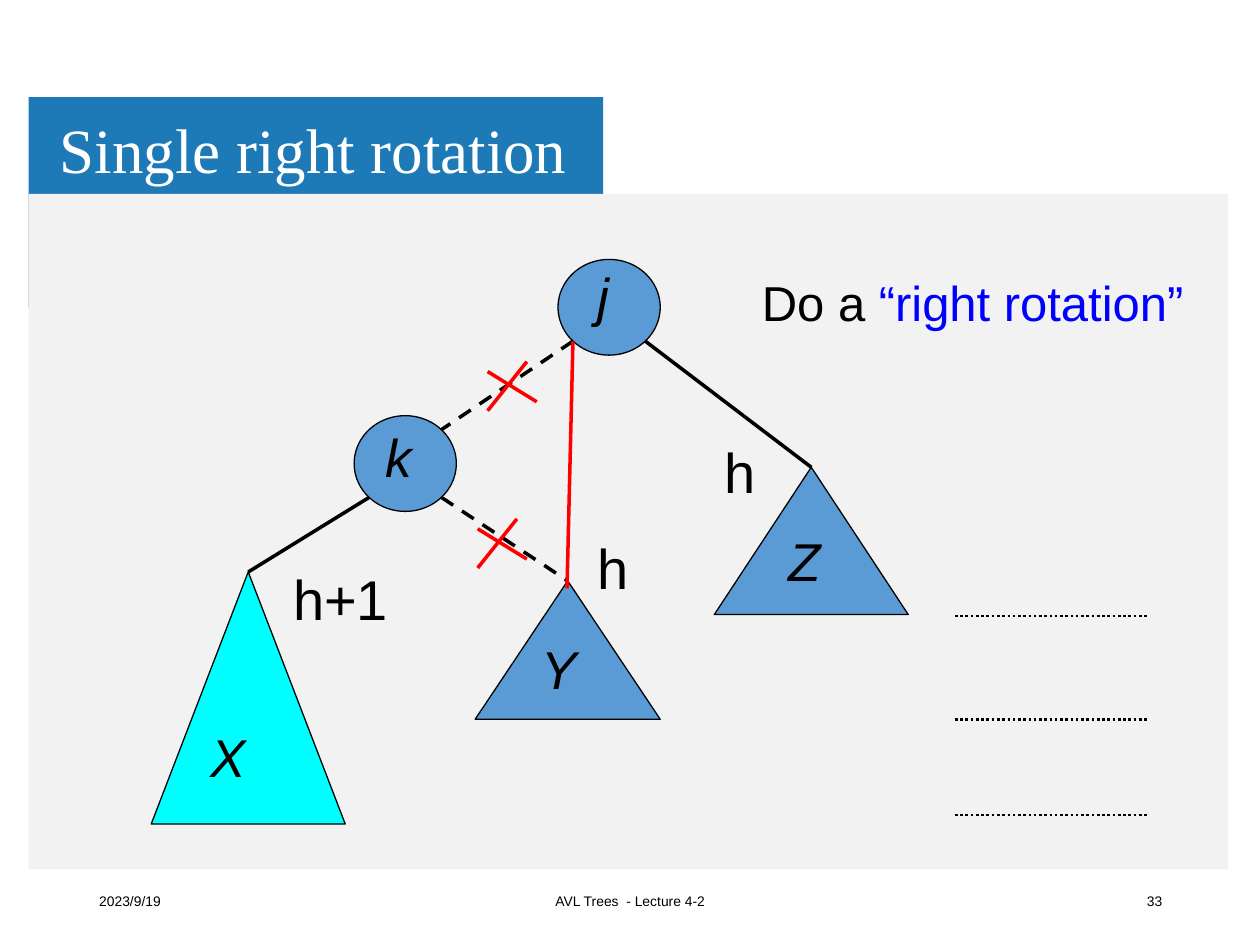
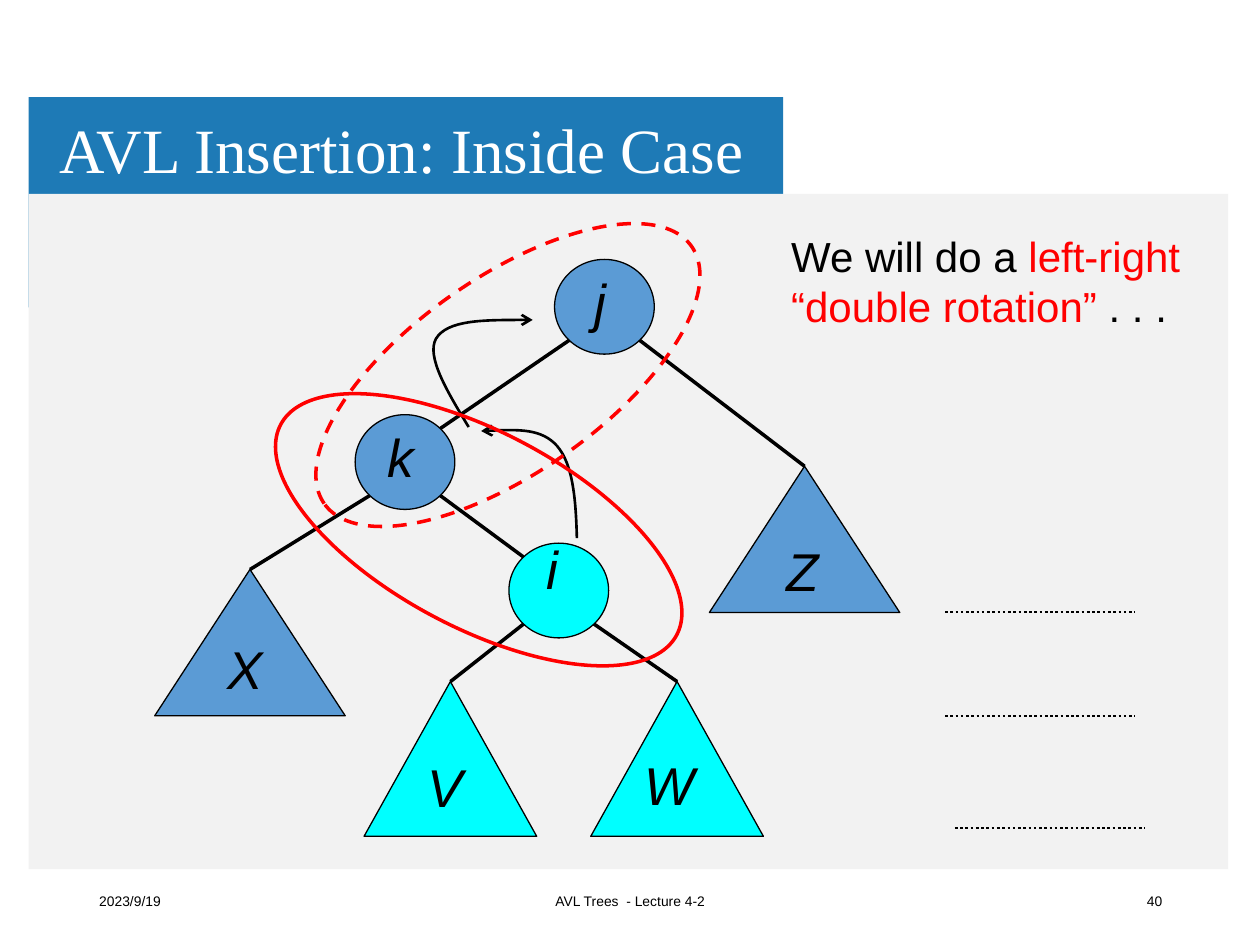
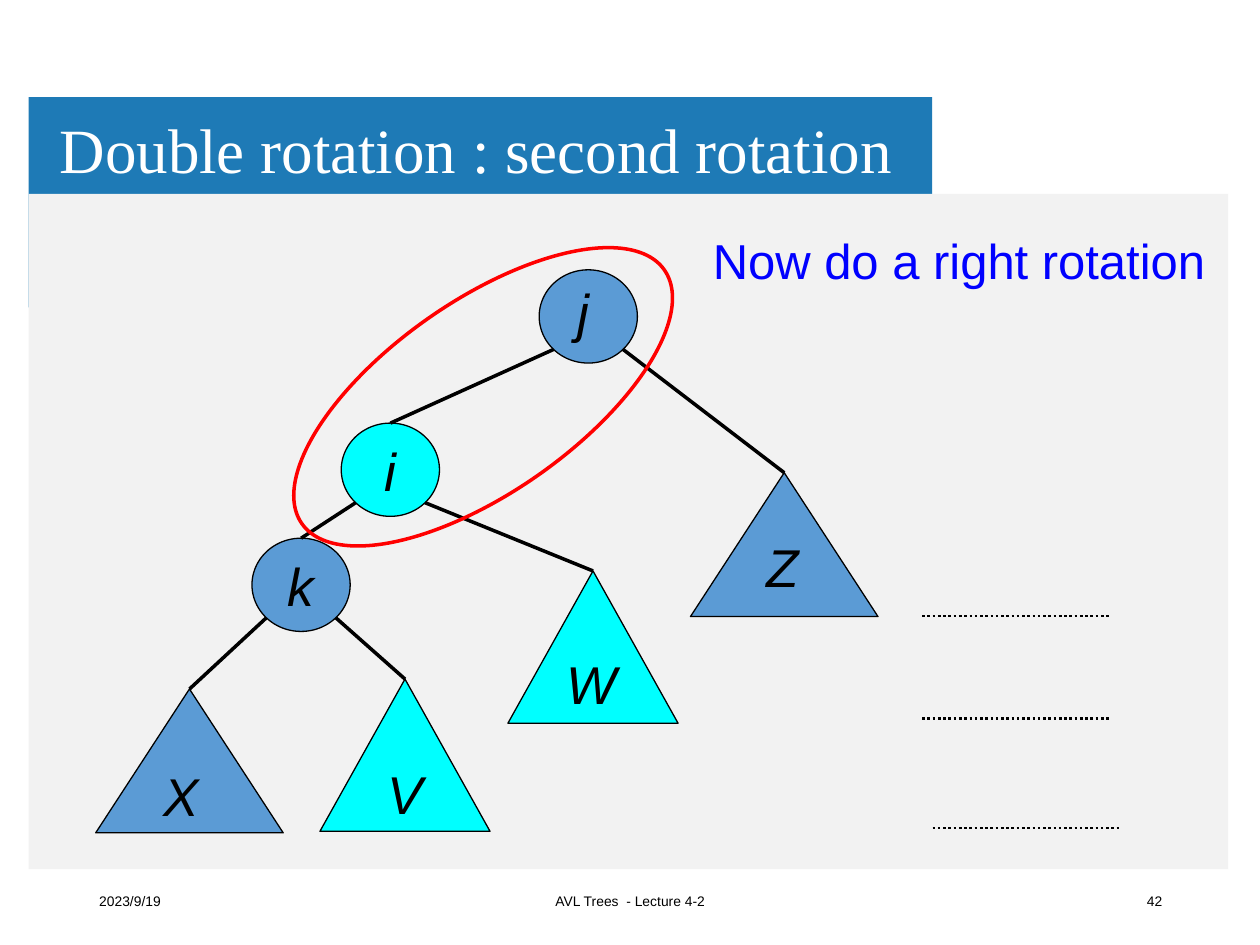
from dataclasses import dataclass, field
from typing import NamedTuple

from lxml import etree
from pptx import Presentation
from pptx import util as u
from pptx.dml.color import RGBColor
from pptx.enum import dml, shapes, text
from pptx.oxml.ns import qn


@dataclass(frozen=True)
class Theme:
    band: str = "1E7AB6"
    panel: str = "F2F2F2"
    node: str = "5B9BD5"
    fresh: str = "00FFFF"
    ink: str = "000000"
    pale: str = "FFFFFF"
    red: str = "FF0000"
    blue: str = "0000FF"
    serif: str = "Times New Roman"
    sans: str = "Arial"
    title: float = 36
    label: float = 30.4
    height: float = 32
    foot: float = 7.9
    thin: float = 0.75
    fine: float = 1.5
    bold: float = 2


T = Theme()
OVAL = shapes.MSO_SHAPE.OVAL
RECT = shapes.MSO_SHAPE.RECTANGLE
PEAK = shapes.MSO_SHAPE.ISOSCELES_TRIANGLE
DASH = dml.MSO_LINE.DASH
DOTS = dml.MSO_LINE.ROUND_DOT
LEFT, MID, RIGHT = text.PP_ALIGN.LEFT, text.PP_ALIGN.CENTER, text.PP_ALIGN.RIGHT
DIAG = 0.5 ** 0.5 / 2  # offset of an oval's corner point, as a share of its size


# All lengths below are in centimetres.
class Point(NamedTuple):
    x: float
    y: float


class Box(NamedTuple):
    x: float
    y: float
    w: float
    h: float


class Run(NamedTuple):
    text: str
    tint: str = T.ink


class Node(NamedTuple):
    form: int
    box: Box
    tint: str = T.node
    label: Point | None = None  # None puts the name inside the shape

    def top(self) -> Point:
        return Point(self.box.x + self.box.w / 2, self.box.y)

    def corner(self, side: int, down: int) -> Point:
        b = self.box
        return Point(b.x + b.w * (0.5 + side * DIAG), b.y + b.h * (0.5 + down * DIAG))


class Edge(NamedTuple):
    start: str
    end: str
    corner: bool = False  # meet the child at its near corner, not its top
    dash: int | None = None


class Stroke(NamedTuple):
    start: Point
    end: Point
    tint: str = T.red
    width: float = T.bold
    dash: int | None = None


class Ring(NamedTuple):
    box: Box
    turn: float
    dash: int | None = None


class Note(NamedTuple):
    box: Box
    size: float
    lines: list[list[Run]]


class Mark(NamedTuple):
    text: str
    box: Box


@dataclass
class Page:
    title: str
    number: str
    band: float
    note: Note
    nodes: dict[str, Node]
    edges: list[Edge]
    rules: list[Point]
    span: float
    crosses: list[Point] = field(default_factory=list)
    strokes: list[Stroke] = field(default_factory=list)
    marks: list[Mark] = field(default_factory=list)
    curves: list[list[Point]] = field(default_factory=list)
    rings: list[Ring] = field(default_factory=list)


def cm(*sizes: float) -> list[u.Length]:
    return [u.Cm(s) for s in sizes]


# Text
def style(para, size: float, tint: str = T.ink, face: str = T.sans,
          align: int = LEFT, slant: bool = False) -> None:
    para.alignment = align
    for run in para.runs:
        run.font.size = u.Pt(size)
        run.font.name = face
        run.font.italic = slant
        run.font.color.rgb = RGBColor.from_string(tint)


def write(slide, words: str, box: Box, size: float, align: int = LEFT,
          slant: bool = False, anchor: int = text.MSO_ANCHOR.TOP) -> None:
    frame = slide.shapes.add_textbox(*cm(*box)).text_frame
    frame.word_wrap = True
    frame.vertical_anchor = anchor
    frame.text = words
    style(frame.paragraphs[0], size, align=align, slant=slant)


def draw_note(slide, note: Note) -> None:
    frame = slide.shapes.add_textbox(*cm(*note.box)).text_frame
    frame.word_wrap = False
    frame.auto_size = text.MSO_AUTO_SIZE.SHAPE_TO_FIT_TEXT
    for n, line in enumerate(note.lines):
        para = frame.add_paragraph() if n else frame.paragraphs[0]
        for part in line:
            para.add_run().text = part.text
        style(para, note.size)
        for run, part in zip(para.runs, line):
            run.font.color.rgb = RGBColor.from_string(part.tint)


# Shapes and lines
def pen(line, tint: str, width: float, dash: int | None = None) -> None:
    line.color.rgb = RGBColor.from_string(tint)
    line.width = u.Pt(width)
    if dash is not None:
        line.dash_style = dash


def draw_shape(slide, form: int, box: Box, fill: str | None):
    shape = slide.shapes.add_shape(form, *cm(*box))
    shape.shadow.inherit = False
    if fill:
        shape.fill.solid()
        shape.fill.fore_color.rgb = RGBColor.from_string(fill)
    else:
        shape.fill.background()
    shape.line.fill.background()
    return shape


def draw_line(slide, s: Stroke) -> None:
    line = slide.shapes.add_connector(
        shapes.MSO_CONNECTOR.STRAIGHT, *cm(*s.start, *s.end))
    pen(line.line, s.tint, s.width, s.dash)
    etree.SubElement(line.element.find(qn("p:spPr")), qn("a:effectLst"))


def draw_curve(slide, points: list[Point]) -> None:
    first, *rest = [tuple(cm(*p)) for p in points]
    form = slide.shapes.build_freeform(*first)
    form.add_line_segments(rest, close=False)
    shape = form.convert_to_shape()
    shape.shadow.inherit = False
    shape.fill.background()
    pen(shape.line, T.ink, T.fine)
    # Every three points make one Bezier segment
    steps = list(shape.element.iter(qn("a:lnTo")))
    for n in range(0, len(steps), 3):
        bend = etree.Element(qn("a:cubicBezTo"))
        steps[n].addprevious(bend)
        for step in steps[n:n + 3]:
            bend.append(step[0])
            step.getparent().remove(step)
    tail = etree.SubElement(shape.element.find(".//" + qn("a:ln")), qn("a:tailEnd"))
    tail.set("type", "arrow")


def draw_node(slide, name: str, node: Node) -> None:
    shape = draw_shape(slide, node.form, node.box, node.tint)
    pen(shape.line, T.ink, T.thin)
    if node.label:
        write(slide, name, Box(*node.label, 1.24, 1.55), T.label, slant=True)
    else:
        frame = shape.text_frame
        frame.word_wrap = False
        frame.vertical_anchor = text.MSO_ANCHOR.MIDDLE
        frame.text = name
        style(frame.paragraphs[0], T.label, align=MID, slant=True)


def draw_edge(slide, nodes: dict[str, Node], edge: Edge) -> None:
    start, end = nodes[edge.start], nodes[edge.end]
    side = 1 if end.top().x > start.top().x else -1
    goal = end.corner(-side, -1) if edge.corner else end.top()
    draw_line(slide, Stroke(start.corner(side, 1), goal, T.ink, dash=edge.dash))


def draw_cross(slide, at: Point) -> None:
    for x1, y1, x2, y2 in ((0, 0.2, 0.99, 0.81), (0.79, 0, 0, 0.99)):
        draw_line(slide, Stroke(Point(at.x + x1, at.y + y1),
                                Point(at.x + x2, at.y + y2)))


def draw_ring(slide, ring: Ring) -> None:
    shape = draw_shape(slide, OVAL, ring.box, None)
    shape.rotation = ring.turn
    pen(shape.line, T.red, T.bold, ring.dash)


# Parts that every slide shares
def draw_frame(slide, page: Page) -> None:
    draw_shape(slide, RECT, Box(0.58, 1.96, page.band, 4.24), T.band)
    draw_shape(slide, RECT, Box(0.58, 3.91, 24.18, 13.61), T.panel)
    title = slide.shapes.title
    title.element.getparent().append(title.element)
    title.left, title.top, title.width, title.height = cm(1.02, 2.08, 19.61, 2.01)
    frame = title.text_frame
    frame.margin_left = frame.margin_right = u.Cm(0.18)
    frame.margin_top = frame.margin_bottom = u.Cm(0.1)
    frame.vertical_anchor = text.MSO_ANCHOR.MIDDLE
    frame.auto_size = text.MSO_AUTO_SIZE.NONE
    frame.text = page.title
    frame.paragraphs[0].line_spacing = 0.9
    style(frame.paragraphs[0], T.title, T.pale, T.serif)
    for words, x, w, align in (("2023/9/19", 1.75, 5.72, LEFT),
                               ("AVL Trees  - Lecture 4-2", 8.41, 8.59, MID),
                               (page.number, 17.96, 5.72, RIGHT)):
        write(slide, words, Box(x, 17.65, w, 1.02), T.foot, align,
              anchor=text.MSO_ANCHOR.MIDDLE)


def draw_page(deck, page: Page) -> None:
    slide = deck.slides.add_slide(deck.slide_layouts[5])
    draw_frame(slide, page)
    draw_note(slide, page.note)
    for name, node in page.nodes.items():
        draw_node(slide, name, node)
    for edge in page.edges:
        draw_edge(slide, page.nodes, edge)
    for at in page.rules:
        draw_line(slide, Stroke(at, Point(at.x + page.span, at.y), T.ink, T.fine, DOTS))
    for stroke in page.strokes:
        draw_line(slide, stroke)
    for at in page.crosses:
        draw_cross(slide, at)
    for mark in page.marks:
        write(slide, mark.text, mark.box, T.height)
    for curve in page.curves:
        draw_curve(slide, curve)
    for ring in page.rings:
        draw_ring(slide, ring)


# Content
SINGLE = Page(
    "Single right rotation", "33", 11.58,
    Note(Box(15.11, 5.36, 9.02, 1.45), 28,
         [[Run("Do a "), Run("“right rotation”", T.blue)]]),
    nodes={
        "j": Node(OVAL, Box(11.25, 5.23, 2.06, 1.93), label=Point(11.79, 5.18)),
        "k": Node(OVAL, Box(7.14, 8.38, 2.06, 1.93), label=Point(7.52, 8.43)),
        "X": Node(PEAK, Box(3.05, 11.53, 3.91, 5.08), T.fresh, Point(3.99, 14.48)),
        "Y": Node(PEAK, Box(9.58, 11.71, 3.73, 2.79), label=Point(10.67, 12.7)),
        "Z": Node(PEAK, Box(14.4, 9.42, 3.91, 2.97), label=Point(15.65, 10.52)),
    },
    edges=[Edge("j", "k", True, DASH), Edge("j", "Z"), Edge("k", "X"),
           Edge("k", "Y", dash=DASH)],
    rules=[Point(19.25, y) for y in (12.42, 14.5, 16.43)], span=3.91,
    crosses=[Point(9.83, 7.29), Point(9.63, 10.46)],
    strokes=[Stroke(Point(11.55, 6.88), Point(11.43, 11.86))],
    marks=[Mark("h", Box(14.35, 8.69, 1.22, 1.63)),
           Mark("h+1", Box(5.66, 11.25, 2.77, 1.63)),
           Mark("h", Box(11.79, 10.64, 1.22, 1.63))],
)

INSIDE = Page(
    "AVL Insertion: Inside Case", "40", 15.21,
    Note(Box(15.7, 4.52, 8.59, 2.31), 24,
         [[Run("We will do a "), Run("left-right", T.red)],
          [Run("“double rotation” ", T.red), Run(". . .")]]),
    nodes={
        "j": Node(OVAL, Box(11.18, 5.23, 2.01, 1.91), label=Point(11.73, 5.31)),
        "k": Node(OVAL, Box(7.16, 8.36, 2.01, 1.91), label=Point(7.57, 8.43)),
        "i": Node(OVAL, Box(10.26, 10.95, 2.01, 1.91), T.fresh, Point(10.77, 10.69)),
        "X": Node(PEAK, Box(3.12, 11.48, 3.84, 2.95), label=Point(4.34, 12.7)),
        "V": Node(PEAK, Box(7.34, 13.74, 3.48, 3.12), T.fresh, Point(8.36, 15.09)),
        "W": Node(PEAK, Box(11.91, 13.74, 3.48, 3.12), T.fresh, Point(12.75, 15.04)),
        "Z": Node(PEAK, Box(14.3, 9.4, 3.84, 2.95), label=Point(15.6, 10.72)),
    },
    edges=[Edge("j", "k", True), Edge("j", "Z"), Edge("k", "X"),
           Edge("k", "i", True), Edge("i", "V"), Edge("i", "W")],
    rules=[Point(19.05, 12.34), Point(19.05, 14.43), Point(19.25, 16.69)], span=3.84,
    curves=[
        [Point(11.63, 10.85), Point(11.61, 10.11), Point(11.56, 9.37),
         Point(11.23, 8.99), Point(10.92, 8.64), Point(10.31, 8.66), Point(9.7, 8.69)],
        [Point(9.45, 8.61), Point(9.02, 7.9), Point(8.59, 7.19),
         Point(8.79, 6.83), Point(9.02, 6.45), Point(9.88, 6.45), Point(10.74, 6.45)],
    ],
    rings=[Ring(Box(5.13, 8.71, 9.04, 3.94), 28),
           Ring(Box(5.72, 5.59, 9.04, 3.94), 325, DASH)],
)

SECOND = Page(
    "Double rotation : second rotation", "42", 18.21,
    Note(Box(14.12, 4.52, 10.44, 1.45), 28, [[Run("Now do a right rotation", T.blue)]]),
    nodes={
        "j": Node(OVAL, Box(10.87, 5.44, 1.98, 1.88), label=Point(11.4, 5.51)),
        "i": Node(OVAL, Box(6.88, 8.53, 1.98, 1.88), T.fresh),
        "k": Node(OVAL, Box(5.08, 10.85, 1.98, 1.88)),
        "X": Node(PEAK, Box(1.93, 13.89, 3.78, 2.9), label=Point(3.05, 15.27)),
        "V": Node(PEAK, Box(6.45, 13.69, 3.43, 3.07), T.fresh),
        "W": Node(PEAK, Box(10.24, 11.51, 3.43, 3.07), T.fresh, Point(11.18, 13)),
        "Z": Node(PEAK, Box(13.92, 9.53, 3.78, 2.9), label=Point(15.21, 10.64)),
    },
    edges=[Edge("j", "i"), Edge("j", "Z"), Edge("i", "k"), Edge("i", "W"),
           Edge("k", "X"), Edge("k", "V")],
    rules=[Point(18.59, 12.42), Point(18.59, 14.48), Point(18.8, 16.69)], span=3.78,
    rings=[Ring(Box(5.28, 6.07, 8.92, 3.86), 325)],
)


def main() -> None:
    deck = Presentation()
    deck.slide_width, deck.slide_height = cm(25.4, 19.05)
    for page in (SINGLE, INSIDE, SECOND):
        draw_page(deck, page)
    deck.save("out.pptx")


if __name__ == "__main__":
    main()
